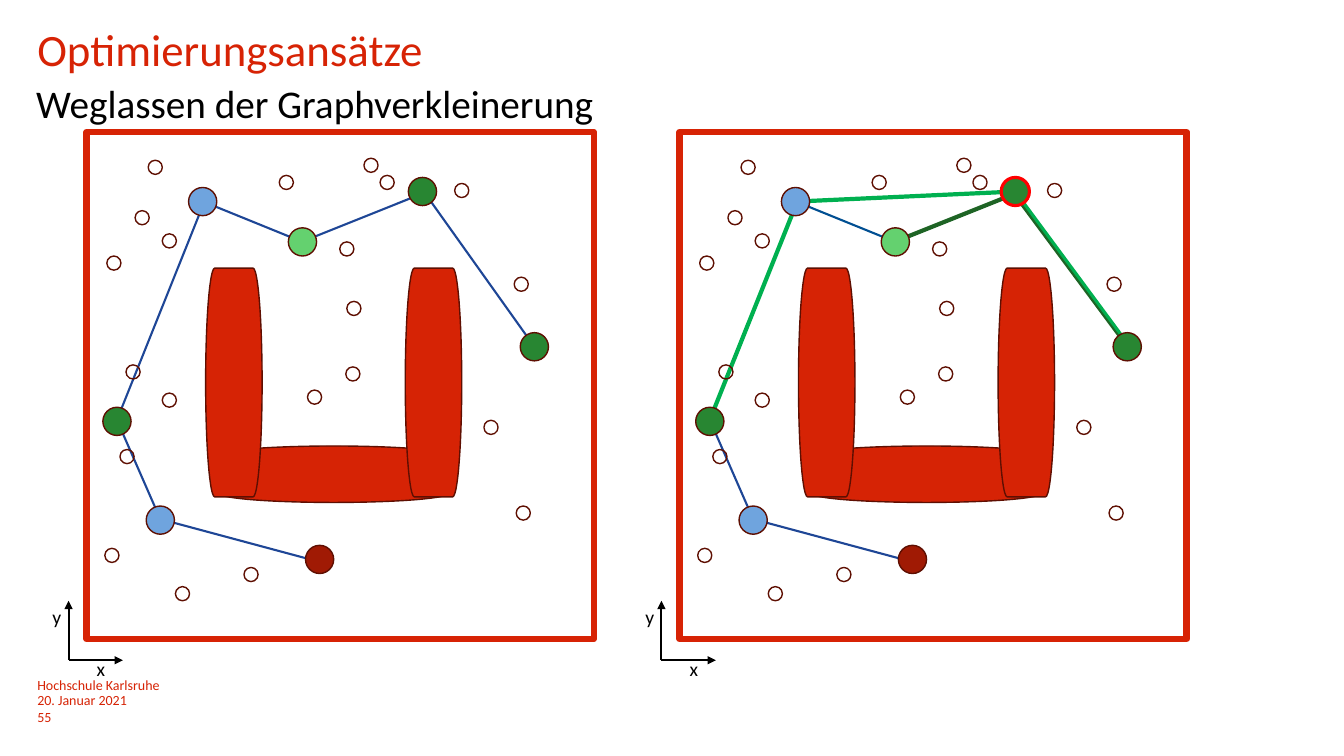
from dataclasses import dataclass

from lxml import etree
from pptx import Presentation
from pptx.dml.color import RGBColor
from pptx.enum.shapes import MSO_CONNECTOR, MSO_SHAPE
from pptx.enum.text import MSO_ANCHOR, PP_ALIGN
from pptx.oxml.ns import qn
from pptx.shapes.autoshape import Shape
from pptx.shapes.shapetree import GroupShapes, SlideShapes
from pptx.text.text import TextFrame
from pptx.util import Inches, Pt

STRAIGHT = MSO_CONNECTOR.STRAIGHT
RECTANGLE = MSO_SHAPE.RECTANGLE
OVAL = MSO_SHAPE.OVAL
TERMINATOR = MSO_SHAPE.FLOWCHART_TERMINATOR
TOP, BOTTOM = MSO_ANCHOR.TOP, MSO_ANCHOR.BOTTOM
LEFT = PP_ALIGN.LEFT

COLOURS = {
    "title": "D72305", "red": "D62305", "outline": "5E0F02", "black": "000000",
    "highlight": "FF0000", "start": "A01A04", "blue node": "6FA4DE",
    "green node": "288632", "light node": "64D16F", "blue edge": "1E4696",
    "teal edge": "004F92", "dark edge": "1E6425", "green edge": "00B050",
}
PANEL_STEP = 5.88
NODE_SIZE, SAMPLE_SIZE = 0.28, 0.14


@dataclass(frozen=True)
class Edge:
    """A line between two points of a panel."""

    start: tuple[float, float]
    end: tuple[float, float]
    colour: str = "blue edge"
    width: float = 1.5
    arrow: bool = False


@dataclass(frozen=True)
class Figure:
    """An outlined shape of a panel."""

    kind: MSO_SHAPE
    left: float
    top: float
    width: float
    height: float
    fill: str | None = None
    line: str = "outline"
    line_width: float = 1
    rotation: float = 0


@dataclass(frozen=True)
class Label:
    """A line of text with its place."""

    text: str
    left: float
    top: float
    width: float
    height: float
    size: float
    colour: str
    line_spacing: float | None = None
    anchor: MSO_ANCHOR = TOP


@dataclass(frozen=True)
class Panel:
    """One of the two path plans."""

    offset: float
    edges: tuple[Edge, ...]
    goal_line: str
    goal_line_width: float


LOWER_PATH = (
    Edge((1.17, 4.19), (1.59, 5.15)),
    Edge((1.59, 5.15), (3.19, 5.58)),
)
PANELS = (
    Panel(PANEL_STEP, (
        Edge((5.3, 3.43), (4.18, 1.92), "dark edge", 3),
        Edge((4.19, 1.9), (5.32, 3.43), "green edge", 2.25),
        Edge((2.01, 2), (4.19, 1.9), "green edge", 3),
        Edge((2.99, 2.4), (4.19, 1.92), "dark edge", 3),
        Edge((1.15, 4.19), (2.04, 1.97), "green edge", 3),
        Edge((2.04, 2.01), (3, 2.4), "teal edge"),
        *LOWER_PATH,
    ), "highlight", 2.25),
    Panel(0, (
        Edge((2.99, 2.4), (4.19, 1.92)),
        Edge((4.21, 1.91), (5.3, 3.44)),
        Edge((1.15, 4.19), (2.04, 1.97)),
        Edge((2.04, 2.01), (3, 2.4)),
        *LOWER_PATH,
    ), "outline", 1),
)
AXES = (
    Edge((0.68, 6.55), (0.68, 5.96), "black", arrow=True),
    Edge((0.68, 6.55), (1.22, 6.55), "black", arrow=True),
)
AXIS_LABELS = (
    Label("x", 0.96, 6.52, 0.63, 0.28, 14, "black"),
    Label("y", 0.52, 6, 0.22, 0.28, 14, "black"),
)
OBSTACLES = (
    Figure(RECTANGLE, 0.86, 1.31, 5.03, 5.03, None, "title", 4.5),
    Figure(TERMINATOR, 3.03, 3.57, 0.56, 2.27, "red", rotation=90),
    Figure(TERMINATOR, 2.04, 2.66, 0.56, 2.27, "red"),
    Figure(TERMINATOR, 4.02, 2.66, 0.56, 2.27, "red"),
)
NODES = (
    (2.86, 2.26, "light node"), (3.03, 5.41, "start"), (1.87, 1.86, "blue node"),
    (1.45, 5.02, "blue node"), (1.02, 4.04, "green node"), (5.16, 3.3, "green node"),
)
SAMPLES = (
    (2.77, 1.74), (1.34, 2.09), (1.61, 3.9), (3.44, 2.99), (4.8, 4.17), (3.61, 1.57),
    (2.42, 5.63), (3.05, 3.87), (3.77, 1.74), (4.51, 1.82), (5.12, 5.02), (1.19, 4.46),
    (1.74, 5.82), (1.61, 2.32), (1.47, 1.59), (1.06, 2.54), (3.43, 3.64), (3.37, 2.4),
    (1.25, 3.62), (5.1, 2.75), (1.04, 5.44),
)
TITLE = Label("Optimierungsansätze", 0.37, 0.33, 11.93, 0.97, 32, "title", 30)
PAGE_LABELS = (
    Label("20. Januar 2021", 0.37, 6.86, 3, 0.15, 10, "red"),
    Label("Hochschule Karlsruhe", 0.37, 6.73, 11.93, 0.15, 10, "red", 8.4, BOTTOM),
    Label("55", 0.37, 7.03, 3, 0.11, 10, "red"),
    Label("Weglassen der Graphverkleinerung", 0.36, 0.79, 7.06, 1.21, 28, "black"),
)


def rgb(name: str) -> RGBColor:
    """Look up a named colour."""
    return RGBColor.from_string(COLOURS[name])


def write_label(frame: TextFrame, label: Label) -> None:
    """Fill a text frame with a formatted line."""
    frame.margin_left = frame.margin_right = frame.margin_top = frame.margin_bottom = 0
    frame.word_wrap = True
    frame.vertical_anchor = label.anchor
    para = frame.paragraphs[0]
    para.text = label.text
    para.alignment = LEFT
    if label.line_spacing:
        para.line_spacing = Pt(label.line_spacing)
    para.font.name = "Calibri"
    para.font.size = Pt(label.size)
    para.font.color.rgb = rgb(label.colour)


def add_label(shapes: SlideShapes | GroupShapes, label: Label, offset: float = 0) -> None:
    """Add a text box for a label."""
    box = shapes.add_textbox(Inches(label.left + offset), Inches(label.top),
                             Inches(label.width), Inches(label.height))
    write_label(box.text_frame, label)


def add_edge(shapes: GroupShapes, edge: Edge, offset: float) -> None:
    """Draw an edge, with an arrowhead if it is an axis."""
    (start_x, start_y), (end_x, end_y) = edge.start, edge.end
    connector = shapes.add_connector(STRAIGHT, Inches(start_x + offset), Inches(start_y),
                                     Inches(end_x + offset), Inches(end_y))
    connector.line.color.rgb = rgb(edge.colour)
    connector.line.width = Pt(edge.width)
    if edge.arrow:
        etree.SubElement(connector.line._get_or_add_ln(), qn("a:tailEnd"), type="triangle")
    etree.SubElement(connector._element.spPr, qn("a:effectLst"))


def add_figure(shapes: GroupShapes, figure: Figure, offset: float) -> Shape:
    """Draw an outlined shape."""
    shape = shapes.add_shape(figure.kind, Inches(figure.left + offset), Inches(figure.top),
                             Inches(figure.width), Inches(figure.height))
    shape.shadow.inherit = False
    shape.rotation = figure.rotation
    if figure.fill:
        shape.fill.solid()
        shape.fill.fore_color.rgb = rgb(figure.fill)
    else:
        shape.fill.background()
    shape.line.color.rgb = rgb(figure.line)
    shape.line.width = Pt(figure.line_width)
    return shape


def add_panel(shapes: SlideShapes, panel: Panel) -> None:
    """Draw a path plan as a group."""
    group = shapes.add_group_shape().shapes
    goal = Figure(OVAL, 4.05, 1.76, NODE_SIZE, NODE_SIZE, "green node",
                  panel.goal_line, panel.goal_line_width)
    samples = [Figure(OVAL, left, top, SAMPLE_SIZE, SAMPLE_SIZE) for left, top in SAMPLES]
    nodes = [Figure(OVAL, left, top, NODE_SIZE, NODE_SIZE, fill) for left, top, fill in NODES]
    for edge in panel.edges + AXES:
        add_edge(group, edge, panel.offset)
    for figure in (*OBSTACLES, goal, *samples, *nodes):
        add_figure(group, figure, panel.offset)
    for label in AXIS_LABELS:
        add_label(group, label, panel.offset)


def main() -> None:
    """Build and save the slide."""
    deck = Presentation()
    deck.slide_width, deck.slide_height = Inches(13.33), Inches(7.5)
    page = deck.slides.add_slide(deck.slide_layouts[5])
    title = page.shapes.title
    title.left, title.top = Inches(TITLE.left), Inches(TITLE.top)
    title.width, title.height = Inches(TITLE.width), Inches(TITLE.height)
    write_label(title.text_frame, TITLE)
    for label in PAGE_LABELS:
        add_label(page.shapes, label)
    for panel in PANELS:
        add_panel(page.shapes, panel)
    deck.save("out.pptx")


if __name__ == "__main__":
    main()
